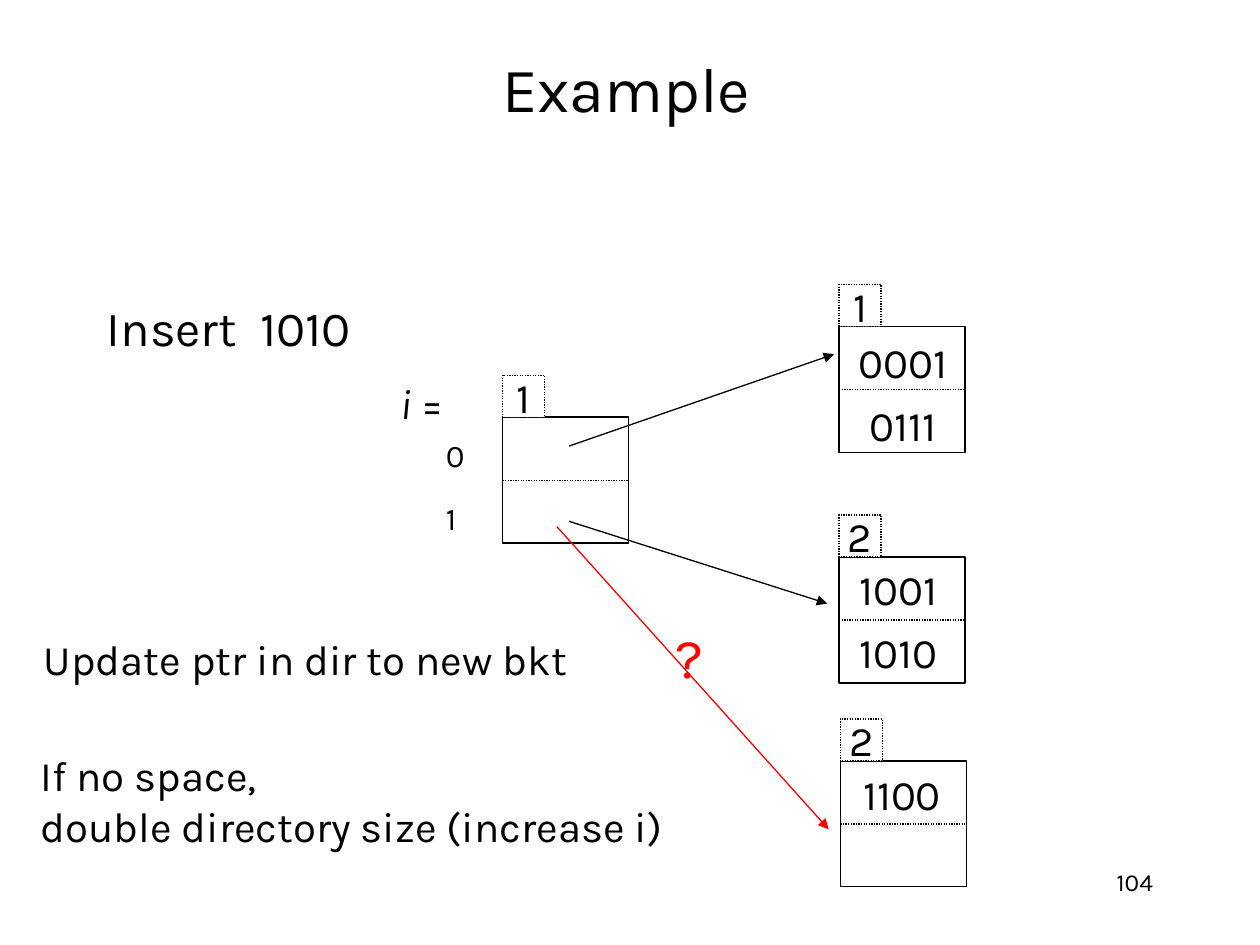
from dataclasses import dataclass

import lxml.etree
import pptx
import pptx.dml.color
import pptx.enum.dml
import pptx.enum.shapes
import pptx.enum.text
import pptx.oxml.ns
import pptx.util
from pptx.util import Pt

ALIGN = pptx.enum.text.PP_ALIGN
ANCHOR = pptx.enum.text.MSO_ANCHOR
DOTTED = pptx.enum.dml.MSO_LINE.ROUND_DOT
RECTANGLE = pptx.enum.shapes.MSO_SHAPE.RECTANGLE
STRAIGHT = pptx.enum.shapes.MSO_CONNECTOR.STRAIGHT


@dataclass(frozen=True)
class Theme:
    font: str = "Karla"
    ink: str = "000000"
    alert: str = "FF0000"
    paper: str = "FFFFFF"
    title: int = 36
    question: int = 32
    heading: int = 28
    text: int = 24
    index: int = 18
    number: int = 14
    line: float = 0.75


THEME = Theme()
CELL = 36  # height of one row of a bucket or directory
TAB = 24  # side of the small depth label


def rgb(value):
    return pptx.dml.color.RGBColor.from_string(value)


def set_attributes(target, values):
    for name, value in values.items():
        setattr(target, name, value)


def write(shape, lines, size, color=THEME.ink, align=ALIGN.LEFT, anchor=ANCHOR.TOP):
    """Write lines of (text, italic) runs; a plain string is one upright run."""
    frame = shape.text_frame
    set_attributes(frame, {
        "word_wrap": False, "vertical_anchor": anchor,
        "margin_left": Pt(7.2), "margin_right": Pt(7.2),
        "margin_top": Pt(3.6), "margin_bottom": Pt(3.6),
    })
    for number, line in enumerate(lines):
        paragraph = frame.paragraphs[0] if number == 0 else frame.add_paragraph()
        paragraph.alignment = align
        for text, italic in [(line, False)] if isinstance(line, str) else line:
            run = paragraph.add_run()
            run.text = text
            set_attributes(run.font, {"name": THEME.font, "size": Pt(size), "italic": italic})
            run.font.color.rgb = rgb(color)


def add_text(slide, box, lines, size, **formats):
    shape = slide.shapes.add_textbox(*map(Pt, box))
    write(shape, lines, size, **formats)


def add_rectangle(slide, box, dash=None):
    shape = slide.shapes.add_shape(RECTANGLE, *map(Pt, box))
    shape.shadow.inherit = False
    shape.fill.solid()
    shape.fill.fore_color.rgb = rgb(THEME.paper)
    shape.line.color.rgb = rgb(THEME.ink)
    set_attributes(shape.line, {"width": Pt(THEME.line), "dash_style": dash})
    return shape


def add_line(slide, start, end, color=THEME.ink, dash=None, arrow=False):
    connector = slide.shapes.add_connector(STRAIGHT, *map(Pt, (*start, *end)))
    connector.line.color.rgb = rgb(color)
    set_attributes(connector.line, {"width": Pt(THEME.line), "dash_style": dash})
    properties = connector._element.spPr
    qn = pptx.oxml.ns.qn
    if arrow:
        lxml.etree.SubElement(properties.find(qn("a:ln")), qn("a:tailEnd"), type="triangle")
    lxml.etree.SubElement(properties, qn("a:effectLst"))
    return connector


def add_block(slide, left, top, depth):
    """Two-row box with a dotted divider and a depth label on its top left."""
    body = add_rectangle(slide, (left, top, 2 * CELL, 2 * CELL))
    label = add_rectangle(slide, (left, top - TAB, TAB, TAB), DOTTED)
    write(label, [depth], THEME.text, align=ALIGN.CENTER, anchor=ANCHOR.MIDDLE)
    middle = top + CELL
    divider = add_line(slide, (left, middle), (left + 2 * CELL, middle), dash=DOTTED)
    divider.begin_connect(body, 1)
    divider.end_connect(body, 3)


def add_bucket(slide, left, top, depth, keys, shift):
    add_block(slide, left, top, depth)
    for row, key in enumerate(keys):
        box = (left + shift[0], top + shift[1] + row * CELL, 2 * CELL, CELL)
        add_text(slide, box, [key], THEME.text, align=ALIGN.CENTER, anchor=ANCHOR.MIDDLE)


def add_directory(slide, left, top):
    add_block(slide, left, top, "1")
    for row, index in enumerate("01"):
        add_text(slide, (left - 39.5, top + 7.2 + row * CELL, 24.5, 28.8), [index], THEME.index)
    add_text(slide, (left - 65.5, top - 26, 40, 36), [[("i", True), (" =", False)]], THEME.text)


def add_pointers(slide, left, top):
    """Arrows from the directory at left, top to the buckets."""
    add_line(slide, (left + 38, top + 16.5), (left + 189.4, top - 36), arrow=True)
    add_line(slide, (left + 38, top + 59.5), (left + 185.5, top + 106.5), arrow=True)
    add_line(slide, (left + 31, top + 62.5), (left + 186.3, top + 235.5), THEME.alert, arrow=True)
    add_text(slide, (left + 92, top + 114, 28, 46), ["?"], THEME.question, color=THEME.alert)


def add_notes(slide, left, top):
    """Task and explanations down the left side."""
    add_text(slide, (left + 38, top, 180, 40), ["Insert  1010"], THEME.heading, anchor=ANCHOR.MIDDLE)
    add_text(slide, (left + 2, top + 191.5, 326, 36), ["Update ptr in dir to new bkt"], THEME.text)
    add_text(slide, (left, top + 258, 376, 65),
             ["If no space,", "double directory size (increase i)"], THEME.text)


def main():
    presentation = pptx.Presentation()
    set_attributes(presentation, {"slide_width": Pt(720), "slide_height": Pt(540)})
    slide = presentation.slides.add_slide(presentation.slide_layouts[6])

    # Title and slide number
    add_text(slide, (52, 22.5, 612, 54.5), ["Example"], THEME.title,
             align=ALIGN.CENTER, anchor=ANCHOR.MIDDLE)
    add_text(slide, (516, 492, 150, 36), ["104"], THEME.number, align=ALIGN.RIGHT)

    # Buckets
    for left, top, depth, keys, shift in (
        (479.5, 186.5, "1", ("0001", "0111"), (0.7, 2)),
        (479.5, 318.3, "2", ("1001", "1010"), (-2.2, 0)),
        (480.2, 434.8, "2", ("1100",), (-0.7, 0.5)),
    ):
        add_bucket(slide, left, top, depth, keys, shift)

    # Directory and its pointers
    add_directory(slide, 287.2, 238.4)
    add_pointers(slide, 287.2, 238.4)

    # Explanations
    add_notes(slide, 16, 167)
    presentation.save("out.pptx")


if __name__ == "__main__":
    main()
